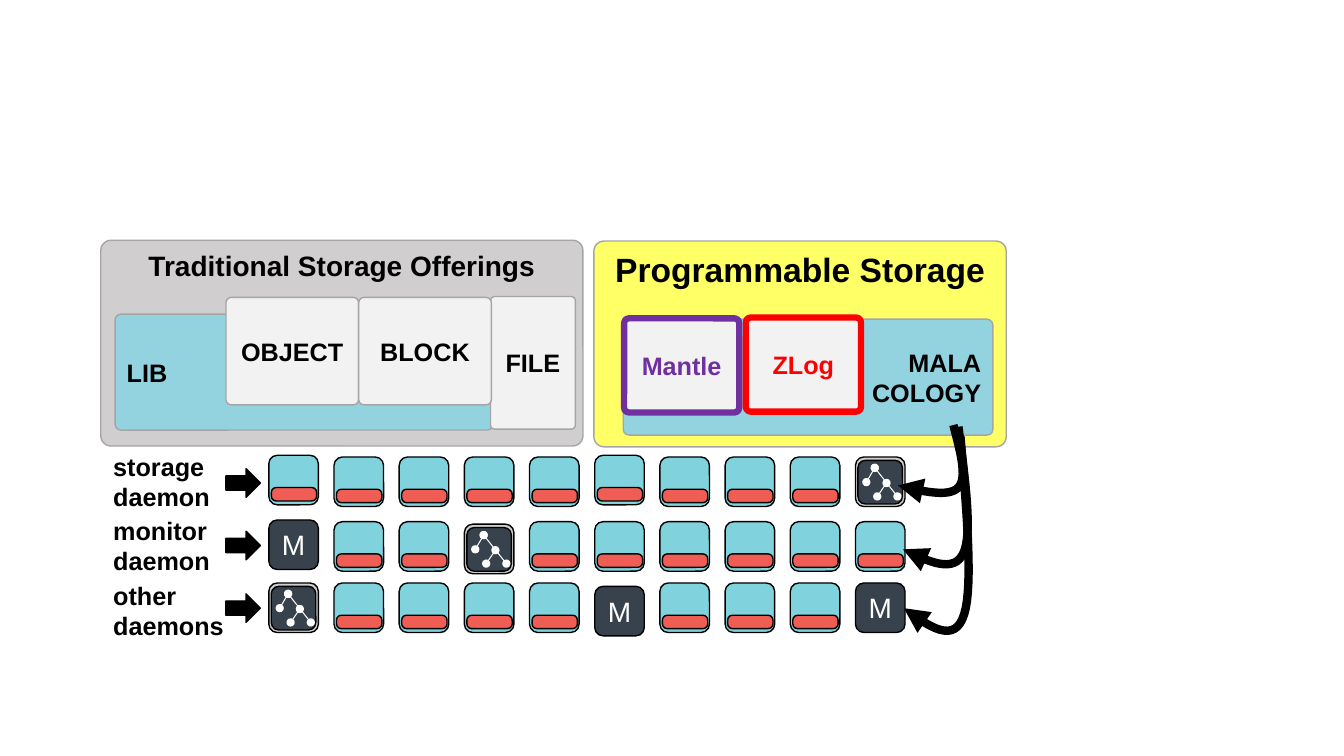
"""Draw the storage stack slide: traditional and programmable offerings over daemons."""
from dataclasses import dataclass

from lxml import etree
from pptx import Presentation
from pptx.dml.color import RGBColor
from pptx.enum.shapes import MSO_CONNECTOR, MSO_SHAPE
from pptx.enum.text import MSO_ANCHOR, PP_ALIGN
from pptx.oxml.ns import qn
from pptx.util import Inches, Pt

ROUND, ARROW = MSO_SHAPE.ROUNDED_RECTANGLE, MSO_SHAPE.RIGHT_ARROW
LINE = MSO_CONNECTOR.STRAIGHT
TOP, MID = MSO_ANCHOR.TOP, MSO_ANCHOR.MIDDLE
LEFT, MIDDLE, RIGHT = PP_ALIGN.LEFT, PP_ALIGN.CENTER, PP_ALIGN.RIGHT

BLACK = RGBColor(0x00, 0x00, 0x00)
WHITE = RGBColor(0xFF, 0xFF, 0xFF)
EDGE = RGBColor(0xA5, 0xA5, 0xA5)
GREY = RGBColor(0xD0, 0xCE, 0xCE)
PALE = RGBColor(0xF2, 0xF2, 0xF2)
YELLOW = RGBColor(0xFF, 0xFF, 0x66)
BLUE = RGBColor(0x93, 0xD3, 0xE0)
AQUA = RGBColor(0x80, 0xD2, 0xDD)
CORAL = RGBColor(0xF0, 0x5D, 0x55)
SLATE = RGBColor(0x38, 0x42, 0x4C)
PURPLE = RGBColor(0x70, 0x30, 0xA0)
RED = RGBColor(0xFF, 0x00, 0x00)

WIDTH, HEIGHT = Inches(13.33), Inches(7.5)
COLS, ROWS = 160, 90
BEND, STRIP_BEND, NODE_BEND = 0.05, 0.36, 0.17
SIDE = 5.9


@dataclass(frozen=True)
class Box:
    """A filled shape on the grid, with its text."""
    x: float
    y: float
    w: float
    h: float
    fill: RGBColor | None = PALE
    edge: RGBColor | None = EDGE
    text: tuple[str, ...] = ()
    size: int = 18
    ink: RGBColor = BLACK
    align: PP_ALIGN = MIDDLE
    anchor: MSO_ANCHOR = MID
    weight: float = 1
    bend: float | None = BEND
    bold: bool = True
    wrap: bool = True
    kind: MSO_SHAPE = ROUND


@dataclass(frozen=True)
class Sweep:
    """A curved arrow with its start and drop on the grid."""
    x: float
    y: float
    drop: float


YARD = Box(70.7, 28.7, 49.1, 24.5, YELLOW, text=("Programmable Storage",),
           size=24, anchor=TOP)
PANELS = (
    Box(12, 28.6, 57.4, 24.5, GREY, text=("Traditional Storage Offerings",),
        size=20, anchor=TOP),
    Box(13.7, 37.4, 45, 13.8, BLUE, text=("LIB",), align=LEFT),
    Box(26.9, 35.4, 15.8, 12.8, text=("OBJECT",)),
    Box(58.4, 35.3, 10.1, 15.8, text=("FILE",)),
    Box(42.7, 35.4, 15.8, 12.8, text=("BLOCK",)),
    Box(74.2, 38, 44, 13.8, BLUE, text=("MALA", "COLOGY"), align=RIGHT),
    Box(74.3, 37.9, 13.7, 11.2, edge=PURPLE, text=("Mantle",), ink=PURPLE, weight=4.5),
    Box(88.8, 37.8, 13.7, 11.2, edge=RED, text=("ZLog",), ink=RED, weight=4.5),
)
LABELS = (("storage", "daemon"), ("monitor", "daemon"), ("other", "daemons"))
NODES = ("SSSSSSSSST", "MSSTSSSSSS", "TSSSSMSSSM")
NODE_X, NODE_STEP = 32, 7.76
NODE_Y = (54.4, 62.1, 69.4)
SHIFT = {(0, 0): -0.2, (0, 5): -0.2, (1, 0): -0.2, (1, 3): 0.3, (2, 5): 0.4}
TWIGS = ((2.3, 1.3, 1.3, 3), (3.7, 3.1, 2.6, 4.7), (2.3, 1.3, 5, 4.7))
LONG = Sweep(114.2, 50.3, 22.1)
SHORT = (Sweep(114.1, 50.8, 14.6), Sweep(113.5, 50.6, 7.2))
BOW = ((0, 0), (0.8, 0.43), (1.7, 0.87), (0.6, 1.03), (-0.5, 1.2), (-3.6, 1.1), (-6.6, 1))
STEPS = 16


def across(cols: float) -> int:
    """Turn grid columns into a length."""
    return round(WIDTH * cols / COLS)


def down(rows: float) -> int:
    """Turn grid rows into a length."""
    return round(HEIGHT * rows / ROWS)


def apply(thing, values: dict) -> None:
    """Set each named value on a thing."""
    for name, value in values.items():
        setattr(thing, name, value)


def paint(line, color: RGBColor, weight: float) -> None:
    """Give a line its colour and width."""
    line.color.rgb = color
    line.width = Pt(weight)


def cap(shape, **ends: str) -> None:
    """Add line ends, such as tailEnd, to a shape's line."""
    ln = shape.element.spPr.find(qn("a:ln"))
    for tag, kind in ends.items():
        etree.SubElement(ln, qn(f"a:{tag}")).set("type", kind)


def write(frame, box: Box) -> None:
    """Put the text of a box in its frame."""
    apply(frame, {"word_wrap": box.wrap, "vertical_anchor": box.anchor})
    for i, words in enumerate(box.text):
        para = frame.add_paragraph() if i else frame.paragraphs[0]
        para.alignment = box.align
        run = para.add_run()
        run.text = words
        apply(run.font, {"name": "Arial", "size": Pt(box.size), "bold": box.bold})
        run.font.color.rgb = box.ink


def draw_box(shapes, box: Box) -> None:
    """Draw one box."""
    shape = shapes.add_shape(box.kind, across(box.x), down(box.y), across(box.w), down(box.h))
    shape.shadow.inherit = False
    if box.bend is not None:
        shape.adjustments[0] = box.bend
    if box.fill is None:
        shape.fill.background()
    else:
        shape.fill.solid()
        shape.fill.fore_color.rgb = box.fill
    if box.edge is None:
        shape.line.fill.background()
    else:
        paint(shape.line, box.edge, box.weight)
    if box.text:
        write(shape.text_frame, box)


def draw_node(shapes, kind: str, x: float, y: float) -> None:
    """Draw a storage (S), monitor (M) or tree (T) node."""
    if kind == "M":
        draw_box(shapes, Box(x, y, SIDE, SIDE, SLATE, BLACK, ("M",), 20, WHITE,
                             bend=NODE_BEND, bold=False, wrap=False))
        return
    parts = shapes.add_group_shape().shapes
    back = AQUA if kind == "S" else GREY
    draw_box(parts, Box(x, y, SIDE, SIDE, back, BLACK, bend=NODE_BEND))
    if kind == "S":
        draw_box(parts, Box(x + 0.3, y + 3.84, 5.4, 1.6, CORAL, BLACK, bend=STRIP_BEND))
        return
    draw_box(parts, Box(x + 0.3, y + 0.4, 5.3, 5.2, SLATE, BLACK, bend=NODE_BEND))
    for x1, y1, x2, y2 in TWIGS:
        twig = parts.add_connector(LINE, across(x + x1), down(y + y1),
                                   across(x + x2), down(y + y2))
        paint(twig.line, WHITE, 0.75)
        cap(twig, headEnd="oval", tailEnd="oval")
        etree.SubElement(twig.element.spPr, qn("a:effectLst"))


def bezier(knots: tuple, t: float) -> tuple[float, float]:
    """Find a point on a cubic curve."""
    parts = ((1 - t) ** 3, 3 * t * (1 - t) ** 2, 3 * t * t * (1 - t), t ** 3)
    return tuple(sum(p * k[axis] for p, k in zip(parts, knots)) for axis in (0, 1))


def draw_sweep(shapes, sweep: Sweep) -> None:
    """Draw one curved arrow."""
    dots = [bezier(BOW[i:i + 4], n / STEPS) for i in (0, 3) for n in range(1, STEPS + 1)]
    pen = shapes.build_freeform(across(sweep.x), down(sweep.y))
    pen.add_line_segments([(across(sweep.x + x), down(sweep.y + y * sweep.drop))
                           for x, y in dots], close=False)
    curve = pen.convert_to_shape()
    curve.shadow.inherit = False
    curve.fill.background()
    paint(curve.line, BLACK, 6)
    cap(curve, tailEnd="triangle")


def main() -> None:
    """Build and save the slide."""
    deck = Presentation()
    apply(deck, {"slide_width": WIDTH, "slide_height": HEIGHT})
    shapes = deck.slides.add_slide(deck.slide_layouts[6]).shapes
    draw_box(shapes, YARD)
    draw_sweep(shapes, LONG)
    for row, kinds in enumerate(NODES):
        for col, kind in enumerate(kinds):
            draw_node(shapes, kind, NODE_X + col * NODE_STEP,
                      NODE_Y[row] + SHIFT.get((row, col), 0))
    for panel in PANELS:
        draw_box(shapes, panel)
    for row, text in enumerate(LABELS):
        draw_box(shapes, Box(12.2, 53.8 + 7.68 * row, 19.3, 7, None, None, text, align=LEFT))
        draw_box(shapes, Box(26.9, 55.8 + 7.45 * row, 4.1, 3.4, BLACK, BLACK,
                             bend=None, kind=ARROW))
    for sweep in SHORT:
        draw_sweep(shapes, sweep)
    deck.save("out.pptx")


if __name__ == "__main__":
    main()
